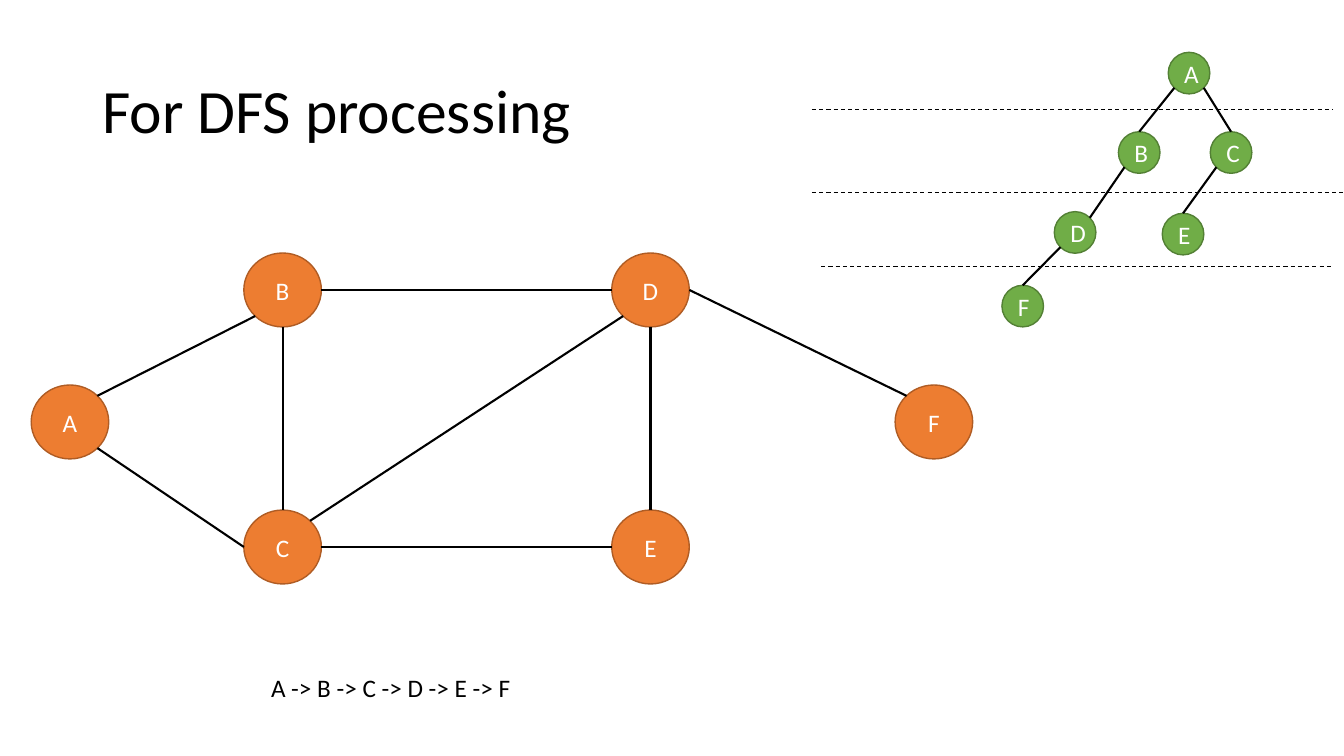
"""Build a slide showing a graph and its DFS tree."""
from dataclasses import dataclass
from math import sqrt

from lxml import etree
from pptx import Presentation
from pptx.dml.color import RGBColor
from pptx.enum.dml import MSO_LINE
from pptx.enum.shapes import MSO_CONNECTOR, MSO_SHAPE
from pptx.enum.text import MSO_ANCHOR, PP_ALIGN
from pptx.oxml.ns import qn
from pptx.shapes.connector import Connector
from pptx.slide import Slide
from pptx.text.text import TextFrame
from pptx.util import Pt

OVAL = MSO_SHAPE.OVAL
STRAIGHT = MSO_CONNECTOR.STRAIGHT
DASH = MSO_LINE.DASH
MIDDLE = MSO_ANCHOR.MIDDLE
TOP = MSO_ANCHOR.TOP
CENTER = PP_ALIGN.CENTER
LEFT = PP_ALIGN.LEFT

BLACK = RGBColor(0x00, 0x00, 0x00)
WHITE = RGBColor(0xFF, 0xFF, 0xFF)
ORANGE = RGBColor(0xED, 0x7D, 0x31)
DARK_ORANGE = RGBColor(0xAF, 0x5C, 0x24)
GREEN = RGBColor(0x70, 0xAD, 0x47)
DARK_GREEN = RGBColor(0x53, 0x80, 0x35)

DIAG = 1 / sqrt(2)
SITES = {
    "n": (0, -1), "ne": (DIAG, -DIAG), "e": (1, 0), "se": (DIAG, DIAG),
    "s": (0, 1), "sw": (-DIAG, DIAG), "w": (-1, 0), "nw": (-DIAG, -DIAG),
}


@dataclass(frozen=True)
class Edge:
    start: str
    start_site: str
    end: str
    end_site: str


@dataclass(frozen=True)
class Graph:
    width: float
    height: float
    fill: RGBColor
    outline: RGBColor
    nodes: dict[str, tuple[float, float]]
    edges: list[Edge]

    def site(self, node: str, name: str) -> tuple[float, float]:
        """Return the point on a node's rim in the named direction."""
        x, y = self.nodes[node]
        dx, dy = SITES[name]
        return x + self.width / 2 * (1 + dx), y + self.height / 2 * (1 + dy)


@dataclass(frozen=True)
class Label:
    text: str
    left: float
    top: float
    width: float
    height: float
    size: float
    anchor: MSO_ANCHOR
    spacing: float


COLS = (22.3, 174.2, 437, 639.4)
ROWS = (180.7, 275, 364.3)
NETWORK = Graph(
    55.4, 52.8, ORANGE, DARK_ORANGE,
    {
        "A": (COLS[0], ROWS[1]), "B": (COLS[1], ROWS[0]),
        "C": (COLS[1], ROWS[2]), "D": (COLS[2], ROWS[0]),
        "E": (COLS[2], ROWS[2]), "F": (COLS[3], ROWS[1]),
    },
    [
        Edge("A", "ne", "B", "sw"), Edge("B", "e", "D", "w"),
        Edge("A", "se", "C", "w"), Edge("C", "e", "E", "w"),
        Edge("D", "e", "F", "nw"), Edge("B", "s", "C", "n"),
        Edge("C", "ne", "D", "sw"), Edge("D", "s", "E", "n"),
    ],
)
TREE = Graph(
    29.7, 29.7, GREEN, DARK_GREEN,
    {
        "A": (834.5, 37.4), "B": (798.9, 94.1), "C": (864.5, 94.1),
        "D": (753.1, 151.2), "E": (830.2, 152.4), "F": (715.7, 203.8),
    },
    [
        Edge("A", "sw", "B", "n"), Edge("A", "se", "C", "n"),
        Edge("B", "sw", "D", "ne"), Edge("C", "sw", "E", "n"),
        Edge("D", "sw", "F", "n"),
    ],
)
LEVELS = [(580, 952, 78.3), (580, 960, 137.5), (586.6, 952, 190.3)]
LABELS = [
    Label("For DFS processing", 66, 28.8, 828, 104.4, 44, MIDDLE, 0.9),
    Label("A -> B -> C -> D -> E -> F", 186.5, 476.6, 480, 29, 18, TOP, 1),
]


def set_text(tf: TextFrame, text: str, size: float, color: RGBColor,
             align: PP_ALIGN, anchor: MSO_ANCHOR) -> None:
    """Write one formatted paragraph."""
    tf.text = text
    tf.word_wrap = True
    tf.vertical_anchor = anchor
    p = tf.paragraphs[0]
    p.alignment = align
    r = p.runs[0]
    r.font.name = "Calibri"
    r.font.size = Pt(size)
    r.font.color.rgb = color


def add_line(s: Slide, start: tuple[float, float], end: tuple[float, float],
             width: float) -> Connector:
    """Draw a black straight line."""
    line = s.shapes.add_connector(
        STRAIGHT, Pt(start[0]), Pt(start[1]), Pt(end[0]), Pt(end[1]))
    line.line.color.rgb = BLACK
    line.line.width = Pt(width)
    etree.SubElement(line._element.spPr, qn("a:effectLst"))
    return line


def add_graph(s: Slide, graph: Graph) -> None:
    """Draw the nodes of a graph and the edges between them."""
    for name, (x, y) in graph.nodes.items():
        sp = s.shapes.add_shape(
            OVAL, Pt(x), Pt(y), Pt(graph.width), Pt(graph.height))
        sp.shadow.inherit = False
        sp.fill.solid()
        sp.fill.fore_color.rgb = graph.fill
        sp.line.color.rgb = graph.outline
        sp.line.width = Pt(1)
        set_text(sp.text_frame, name, 18, WHITE, CENTER, MIDDLE)
    for edge in graph.edges:
        add_line(s, graph.site(edge.start, edge.start_site),
                 graph.site(edge.end, edge.end_site), 1.5)


def add_label(s: Slide, label: Label) -> None:
    """Draw a left-aligned text box."""
    sp = s.shapes.add_textbox(
        Pt(label.left), Pt(label.top), Pt(label.width), Pt(label.height))
    set_text(sp.text_frame, label.text, label.size, BLACK, LEFT, label.anchor)
    sp.text_frame.paragraphs[0].line_spacing = label.spacing


def main() -> None:
    """Build and save the slide."""
    prs = Presentation()
    prs.slide_width, prs.slide_height = Pt(960), Pt(540)
    s = prs.slides.add_slide(prs.slide_layouts[6])
    for label in LABELS:
        add_label(s, label)
    for graph in (NETWORK, TREE):
        add_graph(s, graph)
    for left, right, y in LEVELS:
        add_line(s, (left, y), (right, y), 0.75).line.dash_style = DASH
    prs.save("out.pptx")


if __name__ == "__main__":
    main()
